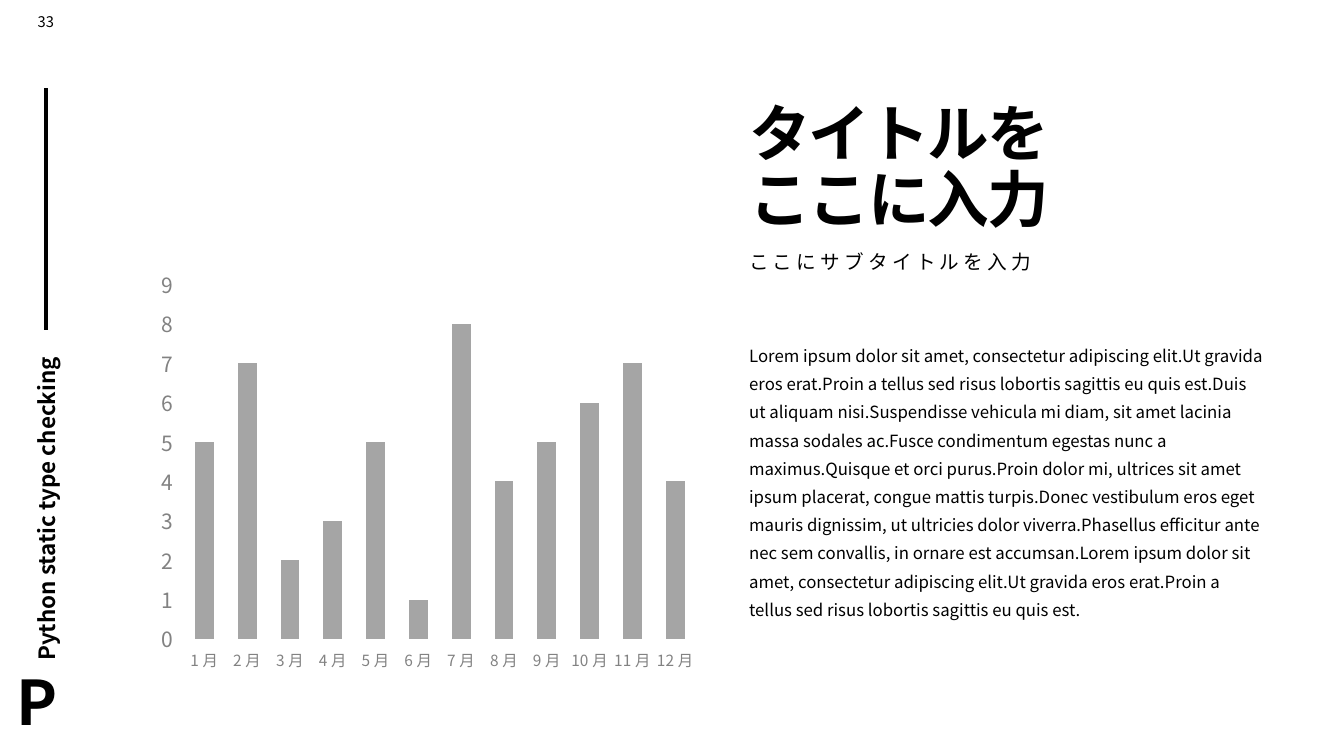
from pptx import Presentation
from pptx import util as u
from pptx.chart.data import CategoryChartData
from pptx.dml.color import RGBColor
from pptx.enum import chart as charts, shapes, text
from pptx.oxml.ns import qn
from lxml import etree

COLORS = {"ink": "000000", "legend": "3F3F3F", "axis": "828282", "bar": "A5A5A5"}
FONT = "Noto Sans CJK JP"
LOREM = (
    "Lorem ipsum dolor sit amet, consectetur adipiscing elit.Ut gravida eros erat."
    "Proin a tellus sed risus lobortis sagittis eu quis est."
)
BODY = (
    LOREM + "Duis ut aliquam nisi.Suspendisse vehicula mi diam, sit amet lacinia massa "
    "sodales ac.Fusce condimentum egestas nunc a maximus.Quisque et orci purus."
    "Proin dolor mi, ultrices sit amet ipsum placerat, congue mattis turpis."
    "Donec vestibulum eros eget mauris dignissim, ut ultricies dolor viverra."
    "Phasellus efficitur ante nec sem convallis, in ornare est accumsan." + LOREM
)
MONTHLY_VALUES = (5, 7, 2, 3, 5, 1, 8, 4, 5, 6, 7, 4)
COLUMN = {"margin_left": 0, "margin_right": u.Inches(0.1)}
SNUG = {f"margin_{side}": u.Inches(0.02) for side in ("left", "right", "top", "bottom")}
SNUG |= {"word_wrap": False, "vertical_anchor": text.MSO_ANCHOR.MIDDLE,
         "auto_size": text.MSO_AUTO_SIZE.SHAPE_TO_FIT_TEXT}


def apply(target, values):
    """Set each named attribute of the target."""
    for name, value in values.items():
        setattr(target, name, value)


def add_east_asian(properties):
    """Use the slide font for Japanese characters as well."""
    etree.SubElement(properties, qn("a:ea")).set("typeface", FONT)


class SlideBuilder:
    """Holds the style and the current slide."""

    def __init__(self, deck):
        """Add a title-only slide to the deck."""
        self.slide = deck.slides.add_slide(deck.slide_layouts[5])

    def style(self, font, size, color="ink", bold=False):
        """Format a font in the slide style."""
        apply(font, {"name": FONT, "size": u.Pt(size), "bold": bold})
        font.color.rgb = RGBColor.from_string(COLORS[color])

    def set_words(self, box, words, size, bold=False, tracking=0, frame=None, paragraph=None):
        """Fill a box with one styled paragraph."""
        apply(box.text_frame, {"word_wrap": True, "auto_size": text.MSO_AUTO_SIZE.NONE}
              | (frame or {}))
        line = box.text_frame.paragraphs[0]
        line.text = words
        apply(line, {"alignment": text.PP_ALIGN.LEFT} | (paragraph or {}))
        for run in line.runs:
            self.style(run.font, size, bold=bold)
            properties = run._r.get_or_add_rPr()
            add_east_asian(properties)
            if tracking:
                properties.set("spc", str(round(tracking * 100)))

    def title(self, words, place, size, **style):
        """Move and fill the title placeholder."""
        heading = self.slide.shapes.title
        apply(heading, dict(zip(("left", "top", "width", "height"), map(u.Inches, place))))
        self.set_words(heading, words, size, **style)

    def label(self, words, place, size, rotation=0, **style):
        """Add a text box."""
        box = self.slide.shapes.add_textbox(*map(u.Inches, place))
        box.rotation = rotation
        self.set_words(box, words, size, **style)

    def rule(self, ends, width):
        """Add a straight line."""
        stroke = self.slide.shapes.add_connector(
            shapes.MSO_CONNECTOR.STRAIGHT, *map(u.Inches, ends))
        stroke.line.width = u.Pt(width)
        stroke.line.color.rgb = RGBColor.from_string(COLORS["ink"])
        etree.SubElement(stroke._element.spPr, qn("a:effectLst"))

    def columns(self, categories, values, place):
        """Add a plain column chart."""
        data = CategoryChartData()
        data.categories = categories
        data.add_series("Series 1", values)
        chart = self.slide.shapes.add_chart(
            charts.XL_CHART_TYPE.COLUMN_CLUSTERED, *map(u.Inches, place), data).chart
        apply(chart, {"has_legend": False, "has_title": False})
        self.style(chart.font, 15, "legend")
        for axis, size in ((chart.category_axis, 11), (chart.value_axis, 15)):
            apply(axis, {"has_major_gridlines": False,
                         "major_tick_mark": charts.XL_TICK_MARK.OUTSIDE})
            axis.format.line.fill.background()
            self.style(axis.tick_labels.font, size, "axis")
        apply(chart.value_axis, {"minimum_scale": 0, "maximum_scale": 9, "major_unit": 1})
        apply(chart.plots[0], {"gap_width": 129, "vary_by_categories": False})
        fill = chart.plots[0].series[0].format.fill
        fill.solid()
        fill.fore_color.rgb = RGBColor.from_string(COLORS["bar"])
        for properties in chart._chartSpace.iter(qn("a:defRPr")):
            add_east_asian(properties)


def main():
    """Build and save the slide."""
    deck = Presentation()
    apply(deck, {"slide_width": u.Inches(13.33), "slide_height": u.Inches(7.5)})
    page = SlideBuilder(deck)
    page.label("Python static type checking", (-1.2, 4.76, 3.32, 0.31), 16,
               rotation=270, bold=True, frame=SNUG)
    page.rule((0.46, 3.27, 0.46, 0.87), 3)
    page.label("33", (0.17, 0.08, 0.57, 0.27), 10.5,
               paragraph={"alignment": text.PP_ALIGN.CENTER})
    page.label("P", (0.14, 6.56, 0.47, 0.78), 44, bold=True, frame=SNUG)
    page.columns([f"{month} 月" for month in range(1, 13)], MONTHLY_VALUES,
                 (1.49, 2.59, 5.53, 4.15))
    page.title("タイトルを\vここに入力", (7.43, 0.92, 5.21, 1.47), 44, bold=True, tracking=-1.5,
               frame=COLUMN | {"vertical_anchor": text.MSO_ANCHOR.BOTTOM},
               paragraph={"line_spacing": 0.9})
    page.label("ここにサブタイトルを入力", (7.43, 2.46, 5.21, 0.66), 14, tracking=3,
               frame=COLUMN, paragraph={"line_spacing": 0.9})
    page.label(BODY, (7.43, 3.3, 5.21, 3.39), 12,
               frame=COLUMN, paragraph={"line_spacing": 1.4})
    deck.save("out.pptx")


if __name__ == "__main__":
    main()
